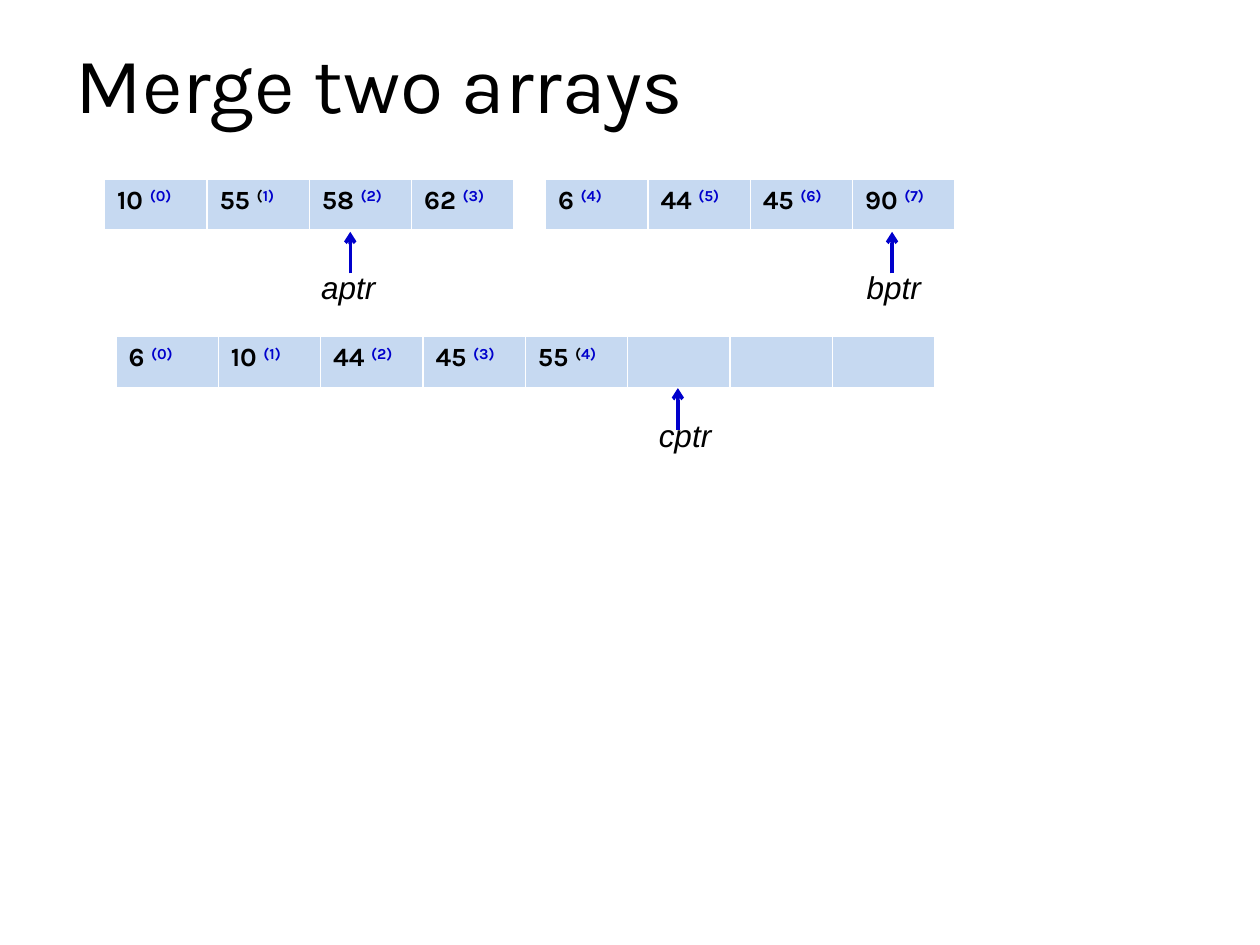
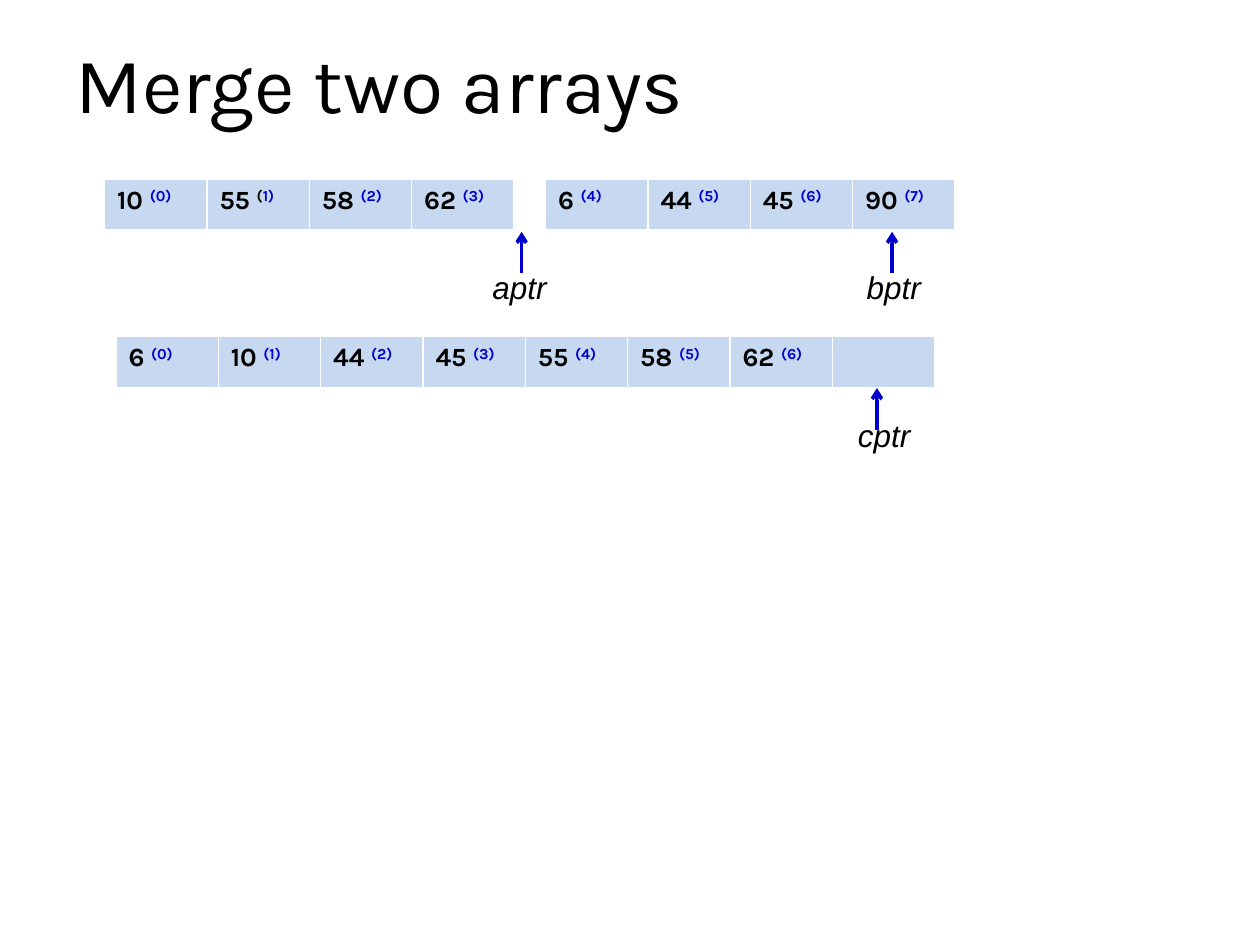
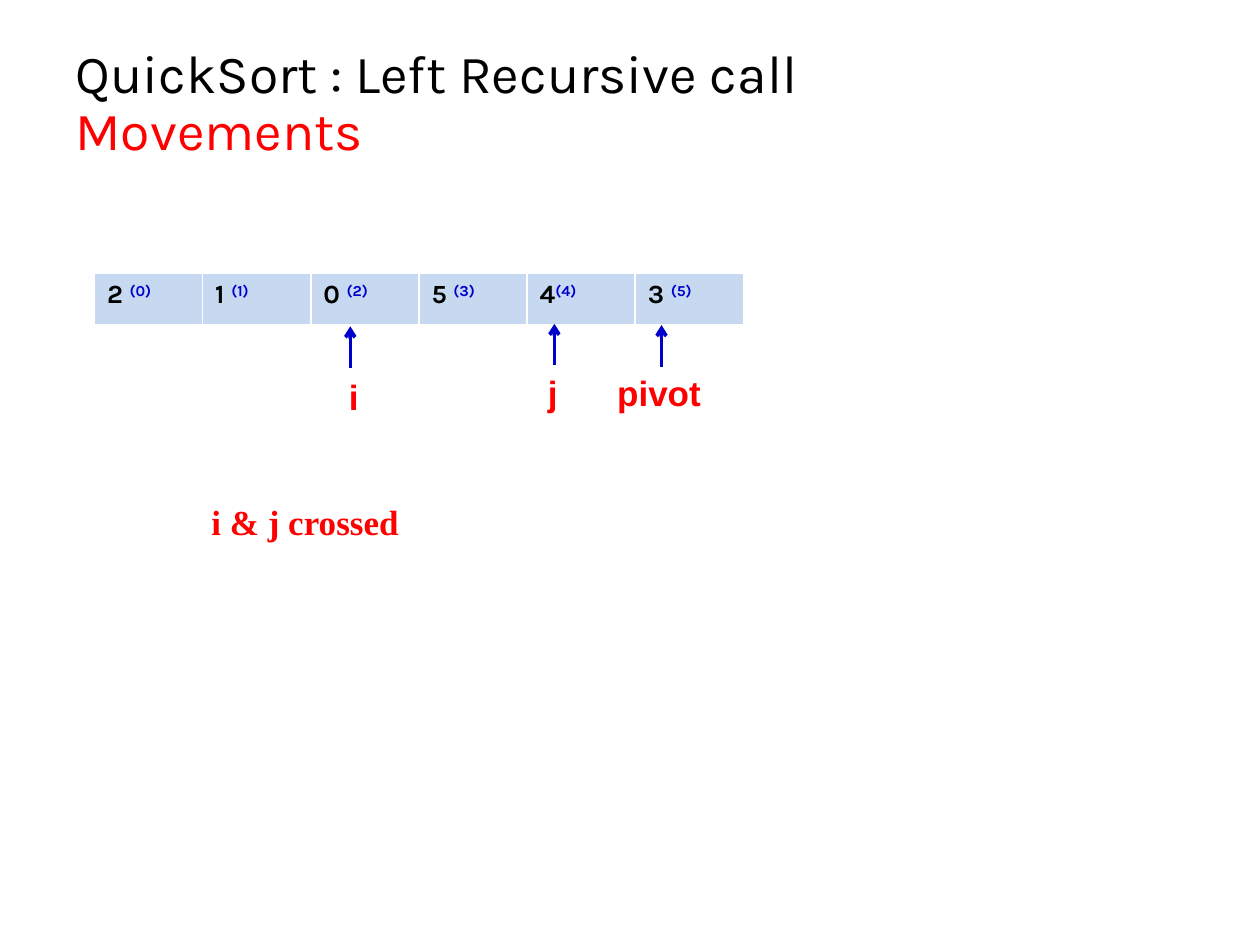
import lxml.etree
import pptx
import pptx.dml.color
import pptx.enum.shapes
import pptx.enum.text
import pptx.oxml
import pptx.oxml.ns
import pptx.util

Inches = pptx.util.Inches
Pt = pptx.util.Pt
BLACK, BLUE, RED, WHITE, PALE = "000000", "0000CC", "FF0000", "FFFFFF", "C6D9F1"
FACE = "Karla"
LEFT = ["10 |(0)", "55 |(|1)", "58 |(2)", "62 |(3)"]
RIGHT = ["6 |(4)", "44 |(5)", "45 |(6)", "90 |(7)"]
MERGED = ["6 |(0)", "10 |(1)", "44 |(2)", "45 |(3)"]


def color(code):
    """Turn a hex string into a colour."""
    return pptx.dml.color.RGBColor.from_string(code)


def style(run, face, size, code, bold=None, italic=None):
    """Set the font of a run."""
    font = run.font
    font.name, font.size, font.bold, font.italic = face, Pt(size), bold, italic
    font.color.rgb = color(code)


def start(deck, text, top, size, codes):
    """Add a slide whose title has one colour for each line."""
    slide = deck.slides.add_slide(deck.slide_layouts[5])
    title = slide.shapes.title
    title.left, title.top = Inches(0.5), Inches(top)
    title.width, title.height = Inches(7.92), Inches(0.92)
    frame = title.text_frame
    frame.text = text
    frame.auto_size = pptx.enum.text.MSO_AUTO_SIZE.NONE
    frame.vertical_anchor = pptx.enum.text.MSO_ANCHOR.BOTTOM
    para = frame.paragraphs[0]
    para.alignment = pptx.enum.text.PP_ALIGN.LEFT
    para.line_spacing = 0.9
    for run, code in zip(para.runs, codes):
        style(run, FACE, size, code)
    return slide


def edge(cell):
    """Draw white borders around a cell, heavier at the bottom."""
    props = cell._tc.get_or_add_tcPr()
    for spot, (side, width) in enumerate([("L", 1), ("R", 1), ("T", 1), ("B", 3)]):
        props.insert(spot, pptx.oxml.parse_xml(
            f'<a:ln{side} {pptx.oxml.ns.nsdecls("a")} w="{Pt(width)}">'
            f'<a:solidFill><a:srgbClr val="{WHITE}"/></a:solidFill></a:ln{side}>'))


def array(slide, left, top, width, items):
    """Draw an array as one row of values with raised indices, parts split by bars."""
    table = slide.shapes.add_table(
        1, len(items), Inches(left), Inches(top), Inches(width), Inches(0.42)).table
    for cell, item in zip(table.rows[0].cells, items):
        cell.fill.solid()
        cell.fill.fore_color.rgb = color(PALE)
        edge(cell)
        parts = item.split("|") if item else []
        for spot, part in enumerate(parts):
            run = cell.text_frame.paragraphs[0].add_run()
            run.text = part
            last = spot == len(parts) - 1
            style(run, FACE, 15, BLUE if last else BLACK, bold=True)
            if spot:
                run.font._element.set("baseline", "30000")


def arrow(slide, x, top):
    """Draw an upward arrow with its tip at the given point."""
    line = slide.shapes.add_connector(
        pptx.enum.shapes.MSO_CONNECTOR.STRAIGHT,
        Inches(x), Inches(top + 0.33), Inches(x), Inches(top))
    line.line.color.rgb = color(BLUE)
    line.line.width = Pt(2)
    tag = pptx.oxml.ns.qn
    lxml.etree.SubElement(line.line._get_or_add_ln(), tag("a:tailEnd"), type="arrow")
    lxml.etree.SubElement(line._element.spPr, tag("a:effectLst"))


def label(slide, left, top, width, height, text, *look, **flags):
    """Write a single line of text that does not wrap."""
    box = slide.shapes.add_textbox(
        Inches(left), Inches(top), Inches(width), Inches(height))
    frame = box.text_frame
    frame.text = text
    frame.word_wrap = False
    frame.auto_size = pptx.enum.text.MSO_AUTO_SIZE.SHAPE_TO_FIT_TEXT
    style(frame.paragraphs[0].runs[0], *look, **flags)


def merge(deck, tail, apos, cpos):
    """Build a merge step from the merged tail and two pointer places."""
    slide = start(deck, "Merge two arrays", 0.17, 45, [BLACK])
    array(slide, 0.92, 2.67, 6.5, MERGED + tail)
    array(slide, 0.83, 1.42, 3.25, LEFT)
    array(slide, 4.33, 1.42, 3.25, RIGHT)
    for text, x, tip, shift, drop, width in [
            ("aptr", apos, 1.84, 0.33, 0.24, 0.64),
            ("bptr", 7.08, 1.84, 0.3, 0.24, 0.64),
            ("cptr", cpos, 3.08, 0.25, 0.17, 0.62)]:
        arrow(slide, x, tip)
        label(slide, x - shift, tip + drop, width, 0.4, text,
              "Arial", 18, BLACK, italic=True)


def quick(deck):
    """Build the quicksort slide with its three pointers."""
    slide = start(deck, "QuickSort : Left Recursive call\vMovements",
                  0.42, 30.6, [BLACK, RED])
    array(slide, 0.75, 2.17, 5.15,
          ["2 |(0)", "1 |(1)", "0 |(2)", "5 |(3)", "4|(4)", "3 |(5)"])
    for text, x, tip, left, top, width in [
            ("i", 2.78, 2.59, 2.67, 2.93, 0.28),
            ("j", 4.4, 2.57, 4.25, 2.9, 0.28),
            ("pivot", 5.25, 2.58, 4.8, 2.9, 0.9)]:
        arrow(slide, x, tip)
        label(slide, left, top, width, 0.43, text, "Arial", 20, RED, bold=True)
    label(slide, 1.58, 3.92, 1.75, 0.44, "i & j crossed",
          "Times New Roman", 20, RED, bold=True)


def main():
    """Build and save the deck."""
    deck = pptx.Presentation()
    deck.slide_width, deck.slide_height = Inches(10), Inches(7.5)
    merge(deck, ["55 |(|4)", "", "", ""], 2.78, 5.38)
    merge(deck, ["55 |(4)", "58 |(5)", "62 |(6)", ""], 4.14, 6.96)
    quick(deck)
    deck.save("out.pptx")


if __name__ == "__main__":
    main()
